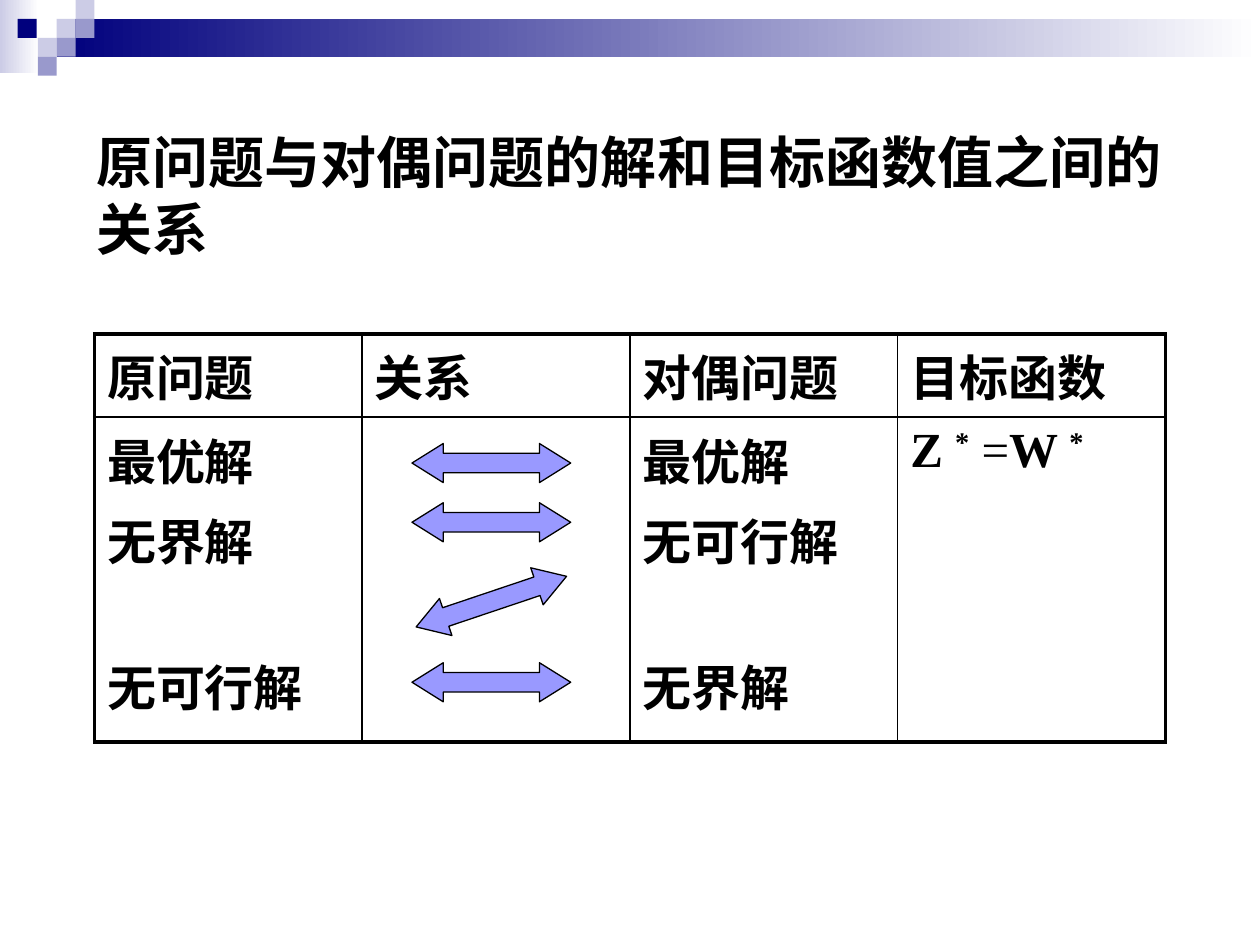
from pptx import Presentation
from pptx.util import Inches, Pt
from pptx.dml.color import RGBColor as RGB
from pptx.enum.shapes import MSO_SHAPE as Shape
from pptx.enum.text import MSO_ANCHOR as Anchor
from lxml.etree import SubElement as Sub
from pptx.oxml.ns import qn

HEX = {"navy": "00007D", "mid": "9999CC", "pale": "CCCCE6",
       "arrow": "9999FF", "ink": "000000", "white": "FFFFFF"}
INK = RGB.from_string(HEX["ink"])

deck = Presentation()
deck.slide_width, deck.slide_height = Inches(10), Inches(7.5)
slide = deck.slides.add_slide(deck.slide_layouts[6])


def add_shape(kind, left, top, width, height, color, fade=False):
    item = slide.shapes.add_shape(kind, Inches(left), Inches(top),
                                  Inches(width), Inches(height))
    item.shadow.inherit = False
    if fade:
        item.fill.gradient()
        item.fill.gradient_angle = 0
        for stop, name in zip(item.fill.gradient_stops, (color, "white")):
            stop.color.rgb = RGB.from_string(HEX[name])
    else:
        item.fill.solid()
        item.fill.fore_color.rgb = RGB.from_string(HEX[color])
    item.line.fill.background()
    return item


def add_run(para, text, size, font, bold=True, raised=False):
    run = para.add_run()
    run.text = text
    run.font.size, run.font.name, run.font.bold = Pt(size), font, bold
    run.font.color.rgb = INK
    if raised:
        run.font._element.set("baseline", "30000")


# Header bars and squares
add_shape(Shape.RECTANGLE, 0, 0, 0.31, 0.58, "pale", fade=True)
add_shape(Shape.RECTANGLE, 0.45, 0.15, 9.55, 0.3, "navy", fade=True)
for left, top, color in [(0.45, 0.15, "pale"), (0.6, 0, "pale"),
                         (0.6, 0.15, "mid"), (0.3, 0.3, "pale"),
                         (0.14, 0.15, "navy"), (0.45, 0.3, "mid"),
                         (0.3, 0.45, "mid")]:
    add_shape(Shape.RECTANGLE, left, top, 0.15, 0.15, color)

# Title
title = slide.shapes.add_textbox(Inches(0.67), Inches(0.92),
                                 Inches(8.9), Inches(1.25)).text_frame
title.word_wrap = True
title.vertical_anchor = Anchor.MIDDLE
add_run(title.paragraphs[0], "原问题与对偶问题的解和目标函数值之间的关系", 32, "Arial")

# Table: each cell holds its paragraphs
rows = [[["原问题"], ["关系"], ["对偶问题"], ["目标函数"]],
        [["最优解", "无界解", "无可行解"], [],
         ["最优解", "无可行解", "无界解"], []]]
gaps = [0, 5.6, 43]
table = slide.shapes.add_table(2, 4, Inches(0.75), Inches(2.65),
                               Inches(8.5), Inches(3.24)).table
table.first_row = table.horz_banding = False
for row, height in zip(table.rows, (0.66, 2.58)):
    row.height = Inches(height)

for r, row in enumerate(rows):
    for c, lines in enumerate(row):
        cell = table.cell(r, c)
        frame = cell.text_frame
        for i, text in enumerate(lines):
            para = frame.add_paragraph() if i else frame.paragraphs[0]
            para.space_before = Pt(gaps[i])
            add_run(para, text, 28, "Times New Roman")
        # Thick outer border, thin inner lines
        props = cell._tc.get_or_add_tcPr()
        for side, outer in (("L", c == 0), ("R", c == 3),
                            ("T", r == 0), ("B", r == 1)):
            line = Sub(props, qn("a:ln" + side), w=str(Pt(2.25 if outer else 1)))
            Sub(Sub(line, qn("a:solidFill")), qn("a:srgbClr"), val=HEX["ink"])
        cell.fill.background()

# Equality of the objective values
para = table.cell(1, 3).text_frame.paragraphs[0]
for text, bold, raised in [("Z ", True, False), ("*", True, True),
                           (" =", False, False), ("W ", True, False),
                           ("*", True, True)]:
    add_run(para, text, 28, "Times New Roman", bold, raised)

# Relation arrows
for top, turn in [(3.52, 0), (3.99, 0), (5.26, 0), (4.62, 341.4)]:
    arrow = add_shape(Shape.LEFT_RIGHT_ARROW, 3.27, top, 1.26, 0.31, "arrow")
    arrow.adjustments[0], arrow.adjustments[1] = 0.5, 0.8
    arrow.rotation = turn
    arrow.line.color.rgb = INK
    arrow.line.width = Pt(0.75)

deck.save("out.pptx")
